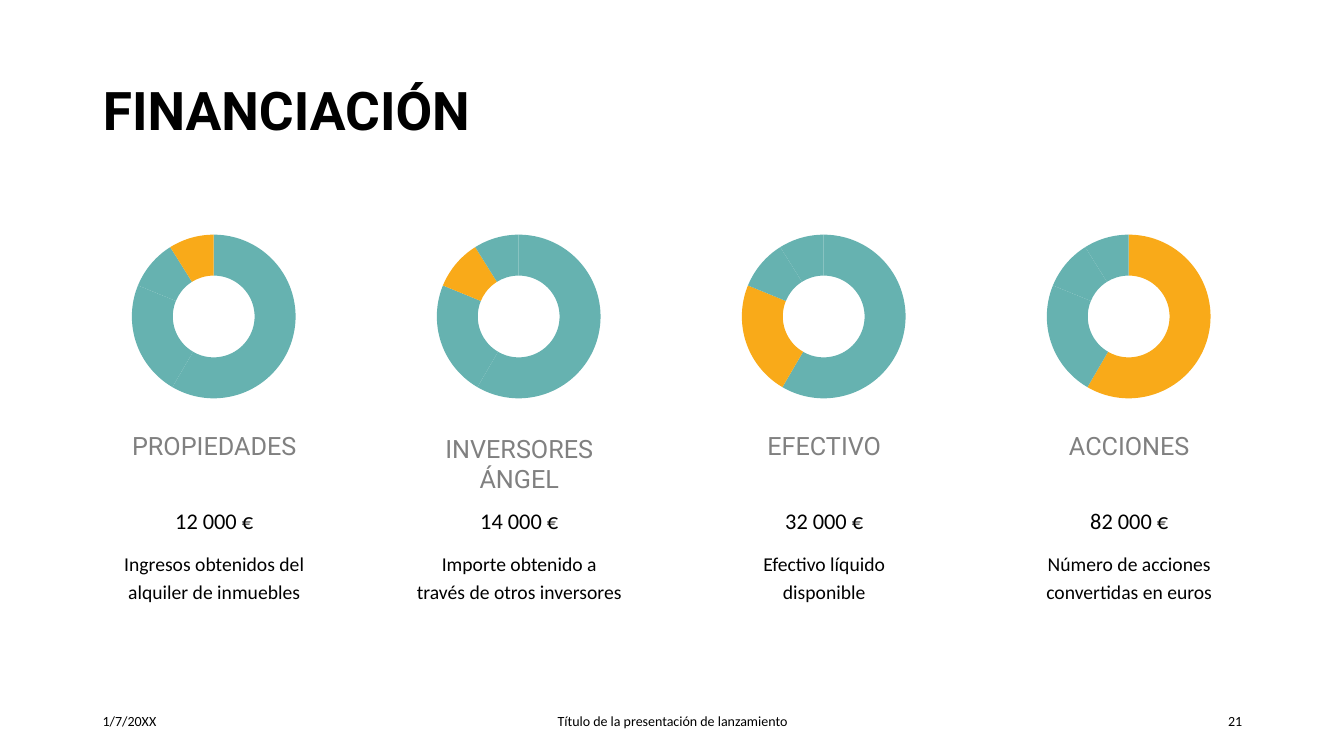
from pptx import Presentation
from pptx import util as u
from pptx.chart.data import CategoryChartData
from pptx.dml.color import RGBColor
from pptx.enum import chart as charts, text

TEAL = RGBColor(0x66, 0xB2, 0xB0)
ORANGE = RGBColor(0xF9, 0xAA, 0x19)
GRAY = RGBColor(0x80, 0x80, 0x80)
BLACK = RGBColor(0, 0, 0)

HEADING_FONT = "Roboto"
BODY_FONT = "Calibri"

MARGIN = 0.92
CONTENT_WIDTH = 11.5
COLUMN_LEFT = 1.0
COLUMN_PITCH = 3.025
COLUMN_WIDTH = 2.25
COLUMN_TOP = 2.19

SHARES = [59, 23, 10, 9]
SOURCES = [
    ("PROPIEDADES", "12 000 €", "Ingresos obtenidos del alquiler de inmuebles", 3, 0.9),
    ("INVERSORES ÁNGEL", "14 000 €", "Importe obtenido a través de otros inversores", 2, 1.0),
    ("EFECTIVO", "32 000 €", "Efectivo líquido disponible", 1, 0.9),
    ("ACCIONES", "82 000 €", "Número de acciones convertidas en euros", 0, 0.9),
]


def write(box, words, size, font=BODY_FONT, color=BLACK, bold=False,
          align=text.PP_ALIGN.CENTER, anchor=text.MSO_ANCHOR.TOP, spacing=1.0):
    frame = box.text_frame
    frame.word_wrap = True
    frame.auto_size = text.MSO_AUTO_SIZE.NONE
    frame.vertical_anchor = anchor
    para = frame.paragraphs[0]
    para.alignment = align
    para.line_spacing = spacing
    span = para.add_run()
    span.text = words
    span.font.size = u.Pt(size)
    span.font.name = font
    span.font.bold = bold
    span.font.color.rgb = color


def add_text(page, left, top, width, height, words, size, **style):
    box = page.shapes.add_textbox(*map(u.Inches, (left, top, width, height)))
    write(box, words, size, **style)


def add_title(page, left, top, width, height):
    title = page.shapes.title
    title.left, title.top, title.width, title.height = map(
        u.Inches, (left, top, width, height))
    write(title, "FINANCIACIÓN", 38, font=HEADING_FONT, bold=True, spacing=0.9,
          align=text.PP_ALIGN.LEFT, anchor=text.MSO_ANCHOR.MIDDLE)


def add_ring(page, left, top, width, height, highlight):
    data = CategoryChartData()
    data.categories = [str(number + 1) for number in range(len(SHARES))]
    data.add_series("Series 1", SHARES)
    ring = page.shapes.add_chart(
        charts.XL_CHART_TYPE.DOUGHNUT,
        *map(u.Inches, (left, top, width, height)), data).chart
    ring.has_title = False
    ring.has_legend = False
    ring.font.name = BODY_FONT
    ring.font.size = u.Pt(10)
    ring.font.color.rgb = BLACK
    plot = ring.plots[0]
    plot.vary_by_categories = True
    for number in range(len(SHARES)):
        slice_format = plot.series[0].points[number].format
        slice_format.fill.solid()
        slice_format.fill.fore_color.rgb = ORANGE if number == highlight else TEAL
        slice_format.line.fill.background()


def add_source(page, left, top, width, source):
    name, amount, detail, highlight, name_spacing = source
    add_ring(page, left + 0.12, top, 2, 1.9, highlight)
    add_text(page, left, top + 2.06, width, 0.6, name, 18,
             font=HEADING_FONT, color=GRAY, spacing=name_spacing)
    add_text(page, left, top + 2.78, width, 0.3, amount, 16, spacing=u.Pt(20))
    add_text(page, left, top + 3.19, width, 1, detail, 14, spacing=u.Pt(20))


def add_footer(page, left, top, width, height):
    side, middle = 3, 4.5
    parts = [
        (left, side, "1/7/20XX", text.PP_ALIGN.LEFT),
        (left + (width - middle) / 2, middle,
         "Título de la presentación de lanzamiento", text.PP_ALIGN.CENTER),
        (left + width - side, side, "21", text.PP_ALIGN.RIGHT),
    ]
    for part_left, part_width, words, align in parts:
        add_text(page, part_left, top, part_width, height, words, 10,
                 align=align, anchor=text.MSO_ANCHOR.MIDDLE)


def main():
    deck = Presentation()
    deck.slide_width = u.Inches(13.33)
    deck.slide_height = u.Inches(7.5)
    page = deck.slides.add_slide(deck.slide_layouts[5])
    add_title(page, MARGIN, 0.4, CONTENT_WIDTH, 1.45)
    for column, source in enumerate(SOURCES):
        add_source(page, COLUMN_LEFT + column * COLUMN_PITCH, COLUMN_TOP,
                   COLUMN_WIDTH, source)
    add_footer(page, MARGIN, 6.95, CONTENT_WIDTH, 0.4)
    deck.save("out.pptx")


if __name__ == "__main__":
    main()
